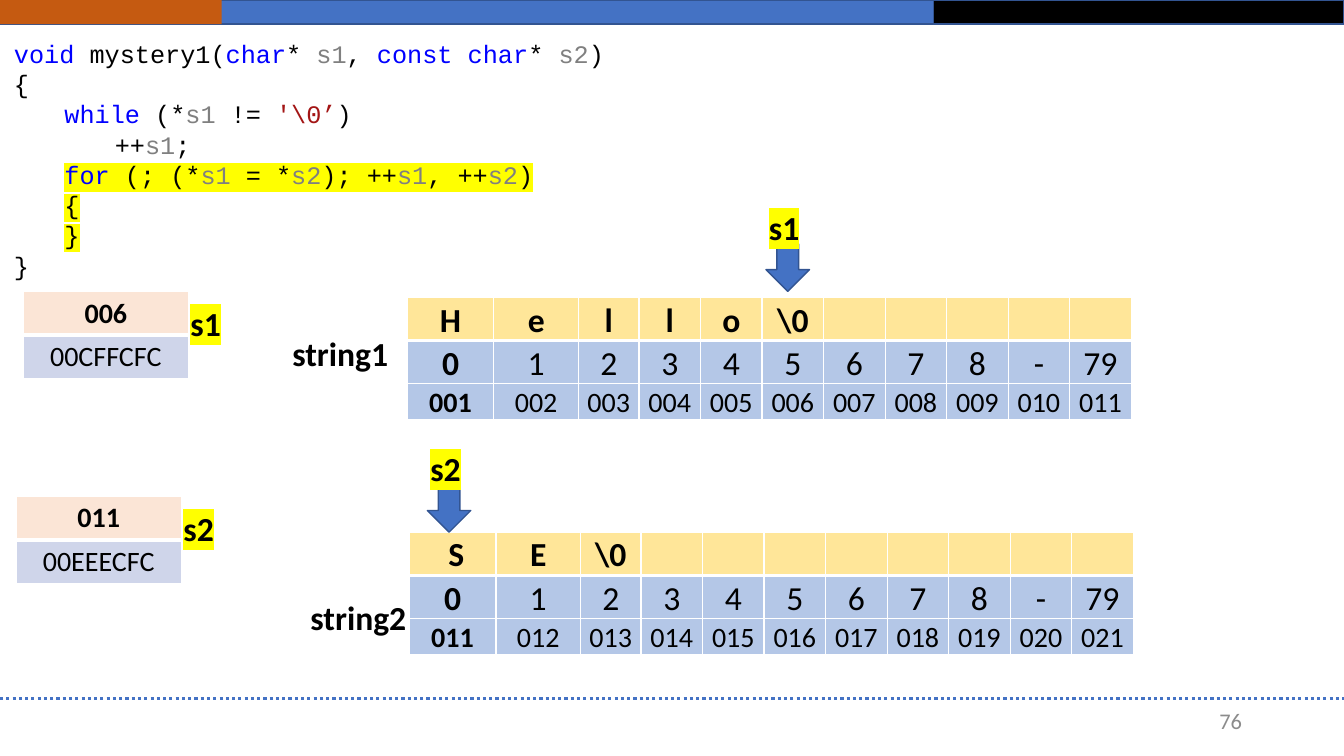
import dataclasses

import lxml.etree
import pptx
import pptx.dml.color
import pptx.enum.dml
import pptx.enum.shapes
import pptx.enum.text
import pptx.oxml.ns
import pptx.util

SHAPE = pptx.enum.shapes.MSO_SHAPE
ALIGN = pptx.enum.text.PP_ALIGN
WIDTH = pptx.util.Inches(13.33)
HEIGHT = pptx.util.Inches(7.5)


@dataclasses.dataclass(frozen=True)
class Theme:
    body_font: str = "Calibri"
    code_font: str = "Courier New"
    label_size: int = 24
    address_size: int = 20
    code_size: int = 18
    page_size: int = 16
    blue: str = "4472C4"
    outline: str = "325491"
    orange: str = "C55A11"
    black: str = "000000"
    white: str = "FFFFFF"
    gray: str = "8C8C8C"
    keyword: str = "0000FF"
    parameter: str = "808080"
    literal: str = "A31515"
    marker: str = "FFFF00"
    characters: str = "FFE699"
    indexes: str = "B4C7E7"
    target: str = "FBE5D6"
    location: str = "CFD5EA"


THEME = Theme()
CODE_COLORS = {"k": THEME.keyword, "v": THEME.parameter, "c": THEME.literal, "": THEME.black}
CODE = [
    (0, False, [("void", "k"), (" mystery1(", ""), ("char", "k"), ("* ", ""), ("s1", "v"), (", ", ""),
                ("const char", "k"), ("* ", ""), ("s2", "v"), (")", "")]),
    (0, False, [("{", "")]),
    (1, False, [("while", "k"), (" (*", ""), ("s1", "v"), (" != ", ""), ("'\\0’", "c"), (")", "")]),
    (1, False, [("\t++", ""), ("s1", "v"), (";", "")]),
    (1, True, [("for", "k"), (" (; (*", ""), ("s1", "v"), (" = *", ""), ("s2", "v"), ("); ++", ""),
               ("s1", "v"), (", ++", ""), ("s2", "v"), (")", "")]),
    (1, True, [("{", "")]),
    (1, True, [("}", "")]),
    (0, False, [("}", "")]),
]
INDEXES = [*"012345678", "-", "79"]
STRING_COLUMNS = [6.45, 6.3, 4.5] + [4.58] * 8


def across(percent):
    return round(WIDTH * percent / 100)


def down(percent):
    return round(HEIGHT * percent / 100)


def box(left, top, width, height):
    return across(left), down(top), across(width), down(height)


def rgb(color):
    return pptx.dml.color.RGBColor.from_string(color)


def add_run(paragraph, words, size, color=THEME.black, font=THEME.body_font, bold=False, marked=False):
    run = paragraph.add_run()
    run.text = words
    run.font.size = pptx.util.Pt(size)
    run.font.bold = bold
    run.font.color.rgb = rgb(color)
    run.font.name = font
    if marked:
        highlight = lxml.etree.Element(pptx.oxml.ns.qn("a:highlight"))
        lxml.etree.SubElement(highlight, pptx.oxml.ns.qn("a:srgbClr"), val=THEME.marker)
        run.font.fill._xPr.find(pptx.oxml.ns.qn("a:solidFill")).addnext(highlight)


def add_text_frame(slide, area):
    frame = slide.shapes.add_textbox(*area).text_frame
    frame.word_wrap = True
    frame.auto_size = pptx.enum.text.MSO_AUTO_SIZE.SHAPE_TO_FIT_TEXT
    return frame


def add_label(slide, words, area, marked=False, spacing=None):
    paragraph = add_text_frame(slide, area).paragraphs[0]
    paragraph.alignment = ALIGN.CENTER
    paragraph.line_spacing = spacing
    add_run(paragraph, words, THEME.label_size, bold=True, marked=marked)


def add_block(slide, kind, area, fill, outline=THEME.outline):
    block = slide.shapes.add_shape(kind, *area)
    block.shadow.inherit = False
    block.fill.solid()
    block.fill.fore_color.rgb = rgb(fill)
    if outline:
        block.line.color.rgb = rgb(outline)
        block.line.width = pptx.util.Pt(1)
    else:
        block.line.fill.background()


def set_borders(cell, top, bottom):
    properties = cell._tc.get_or_add_tcPr()
    sides = {"lnL": 1, "lnR": 1, "lnT": top, "lnB": bottom}
    for position, (side, points) in enumerate(sides.items()):
        border = lxml.etree.Element(pptx.oxml.ns.qn(f"a:{side}"), w=str(pptx.util.Pt(points)))
        fill = lxml.etree.SubElement(border, pptx.oxml.ns.qn("a:solidFill"))
        lxml.etree.SubElement(fill, pptx.oxml.ns.qn("a:srgbClr"), val=THEME.white)
        properties.insert(position, border)


def add_grid(slide, left, top, columns, row_height, rows, bold, spacing=None):
    area = box(left, top, sum(columns), row_height * len(rows))
    table = slide.shapes.add_table(len(rows), len(columns), *area).table
    table.first_row = table.horz_banding = False
    for column, width in zip(table.columns, columns):
        column.width = across(width)
    for r, (values, fill, size) in enumerate(rows):
        table.rows[r].height = down(row_height)
        for c, value in enumerate(values):
            cell = table.cell(r, c)
            cell.fill.solid()
            cell.fill.fore_color.rgb = rgb(fill)
            set_borders(cell, 3 if r == 1 else 1, 3 if r == 0 else 1)
            if spacing:
                cell.margin_left = cell.margin_right = pptx.util.Inches(0.07)
                cell.margin_top = cell.margin_bottom = 0
            if value:
                paragraph = cell.text_frame.paragraphs[0]
                paragraph.alignment = ALIGN.CENTER
                paragraph.line_spacing = spacing
                add_run(paragraph, value, size, bold=bold(r, c))


def add_string(slide, name, left, top, label_left, label_top, characters, first_address):
    count = len(INDEXES)
    addresses = [f"{first_address + step:03}" for step in range(count)]
    rows = [
        (characters + [""] * (count - len(characters)), THEME.characters, THEME.label_size),
        (INDEXES, THEME.indexes, THEME.label_size),
        (addresses, THEME.indexes, THEME.address_size),
    ]
    add_grid(slide, left, top, STRING_COLUMNS, 4.8, rows, lambda r, c: r == 0 or c == 0, 1.07)
    add_label(slide, name, box(label_left, label_top, 12.08, 8.53), spacing=1.5)


def add_variable(slide, name, left, top, target, location):
    rows = [([target], THEME.target, THEME.address_size), ([location], THEME.location, THEME.address_size)]
    add_grid(slide, left, top, [12.3], 5.5, rows, lambda r, c: r == 0)
    add_label(slide, name, box(left + 9.79, top + 0.87, 7.58, 6.67), marked=True)


def add_pointer(slide, name, left, top):
    add_block(slide, SHAPE.DOWN_ARROW, box(left, top, 3.23, 6.27), THEME.blue)
    add_label(slide, name, box(left - 2.44, top - 5.6, 7.58, 6.67), marked=True)


def add_code(slide):
    frame = add_text_frame(slide, box(0.3, 4.4, 64.65, 33.6))
    for number, (level, marked, tokens) in enumerate(CODE):
        paragraph = frame.add_paragraph() if number else frame.paragraphs[0]
        paragraph.level = level
        paragraph._p.get_or_add_pPr().set("marL", str(pptx.util.Inches(0.5 * level)))
        for words, role in tokens:
            add_run(paragraph, words, THEME.code_size, CODE_COLORS[role], THEME.code_font, marked=marked)


def add_frame(slide):
    add_block(slide, SHAPE.RECTANGLE, box(0, 0, 69.45, 3.2), THEME.blue)
    add_block(slide, SHAPE.RECTANGLE, box(69.45, 0, 30.55, 3.2), THEME.black)
    add_block(slide, SHAPE.RECTANGLE, box(0, 0, 16.5, 3.2), THEME.orange, None)
    footer = slide.shapes.add_connector(
        pptx.enum.shapes.MSO_CONNECTOR.STRAIGHT, 0, down(92.4), WIDTH, down(92.4))
    footer.line.color.rgb = rgb(THEME.blue)
    footer.line.width = pptx.util.Pt(2.25)
    footer.line.dash_style = pptx.enum.dml.MSO_LINE.ROUND_DOT
    lxml.etree.SubElement(footer._element.spPr, pptx.oxml.ns.qn("a:effectLst"))
    page = slide.shapes.add_textbox(*box(70.65, 92.67, 22.5, 5.33)).text_frame
    page.word_wrap = True
    page.vertical_anchor = pptx.enum.text.MSO_ANCHOR.MIDDLE
    page.paragraphs[0].alignment = ALIGN.RIGHT
    add_run(page.paragraphs[0], "76", THEME.page_size, THEME.gray)


def main():
    deck = pptx.Presentation()
    deck.slide_width, deck.slide_height = WIDTH, HEIGHT
    slide = deck.slides.add_slide(deck.slide_layouts[6])
    add_frame(slide)
    add_code(slide)
    add_string(slide, "string1", 30.3, 39.33, 19.28, 40.67, [*"Hello", "\\0"], 1)
    add_variable(slide, "s1", 1.73, 38.53, "006", "00CFFCFC")
    add_string(slide, "string2", 30.45, 70.4, 20.63, 75.6, [" S", "E", "\\0"], 11)
    add_variable(slide, "s2", 1.2, 65.6, "011", "00EEECFC")
    add_pointer(slide, "s1", 57, 32.27)
    add_pointer(slide, "s2", 31.8, 64.13)
    deck.save("out.pptx")


if __name__ == "__main__":
    main()
